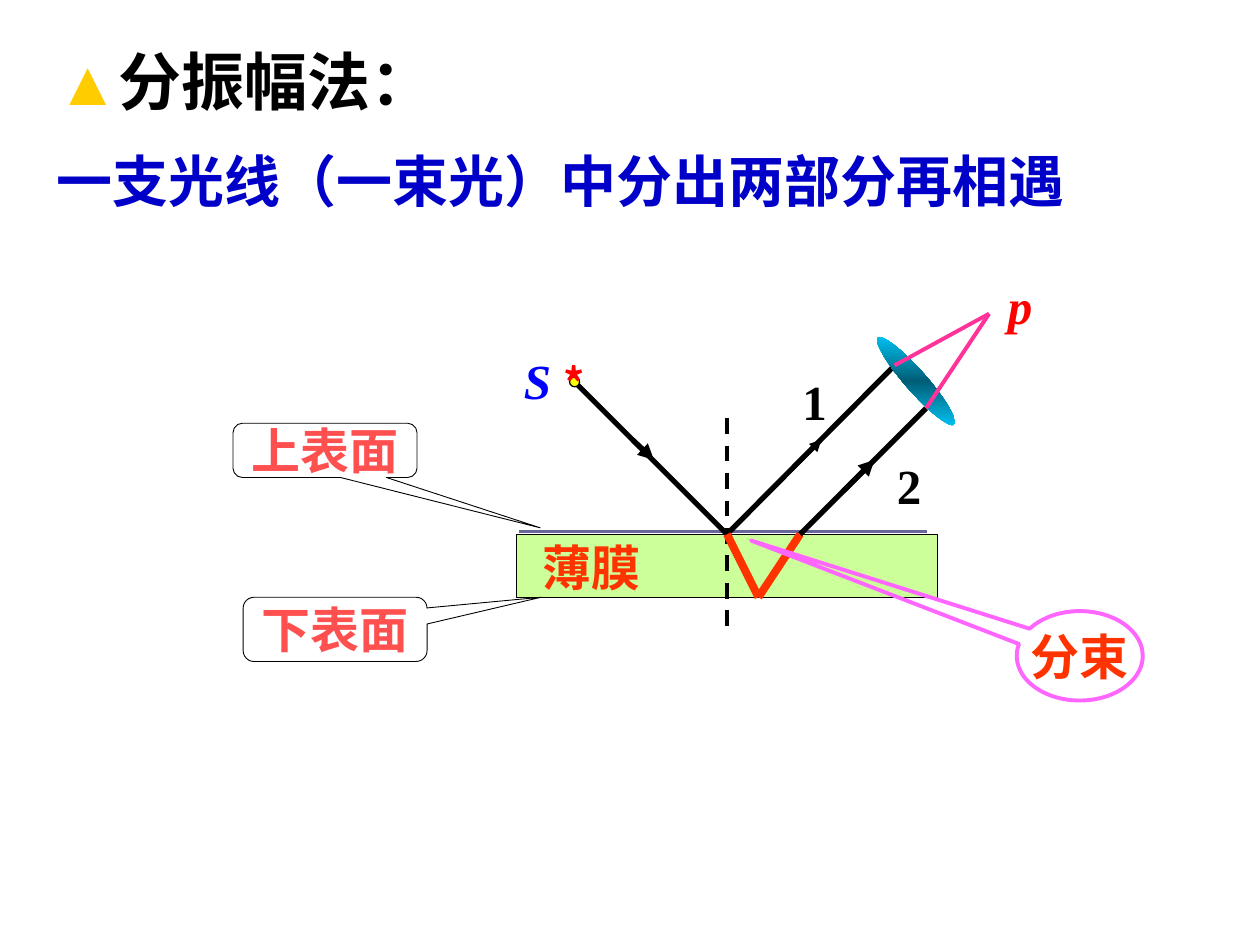
from dataclasses import dataclass
from typing import Optional

from pptx import Presentation
from pptx.dml.color import RGBColor
from pptx.enum.dml import MSO_LINE_DASH_STYLE as Dash
from pptx.enum.shapes import MSO_CONNECTOR_TYPE as Connector, MSO_SHAPE as Preset
from pptx.enum.text import MSO_ANCHOR as Anchor, MSO_AUTO_SIZE as AutoSize, PP_ALIGN as Align
from pptx.oxml import parse_xml
from pptx.oxml.ns import nsdecls, qn
from pptx.util import Inches, Pt

COLUMNS, ROWS = 100, 75
WIDTH, HEIGHT = Inches(10), Inches(7.5)
CHINESE, LATIN, SYMBOL = "Noto Sans CJK SC", "Times New Roman", "Arial"
ORANGE, CORAL, PINK, BLACK = "FF3300", "FF5050", "FF3399", "000000"


@dataclass(frozen=True)
class Run:
    text: str
    color: str
    size: float = 28
    font: str = CHINESE
    italic: bool = False


@dataclass(frozen=True)
class Label:
    area: tuple
    lines: tuple
    format: dict
    frame: dict


@dataclass(frozen=True)
class Figure:
    preset: Preset
    area: tuple
    line: Optional[str] = None
    weight: float = 0.75
    fill: Optional[str] = None
    adjustments: tuple = ()
    run: Optional[Run] = None


@dataclass(frozen=True)
class Ray:
    start: tuple
    end: tuple
    color: str = BLACK
    weight: float = 3
    arrow: bool = False
    dash: Optional[Dash] = None


@dataclass(frozen=True)
class Lens:
    area: tuple
    rotation: float
    edge: str
    middle: str


def apply(target, values: dict) -> None:
    """Set every attribute named in a dict of format values."""
    for name, value in values.items():
        setattr(target, name, value)


def rgb(color: str) -> RGBColor:
    """Turn a hex string into a colour."""
    return RGBColor.from_string(color)


def place(area: tuple) -> list:
    """Turn grid columns and rows into slide lengths."""
    units = (WIDTH / COLUMNS, HEIGHT / ROWS)
    return [round(value * units[index % 2]) for index, value in enumerate(area)]


def add_run(paragraph, item: Run) -> None:
    """Write one bold run with the same Latin and East Asian font."""
    run = paragraph.add_run()
    run.text = item.text
    apply(run.font, dict(size=Pt(item.size), name=item.font, bold=True, italic=item.italic))
    run.font.color.rgb = rgb(item.color)
    properties = run.font._element
    properties.find(qn("a:latin")).addnext(
        parse_xml(f'<a:ea {nsdecls("a")} typeface="{item.font}"/>'))


def draw_label(slide, label: Label):
    """Draw a text box with one paragraph per line."""
    box = slide.shapes.add_textbox(*place(label.area))
    frame = box.text_frame
    apply(frame, dict(word_wrap=True) | label.frame)
    for index, runs in enumerate(label.lines):
        paragraph = frame.add_paragraph() if index else frame.paragraphs[0]
        apply(paragraph, label.format)
        if index:
            paragraph.space_before = Pt(20)
        for run in runs:
            add_run(paragraph, run)
    return box


def draw_figure(slide, figure: Figure):
    """Draw a preset shape, with centred text if it has any."""
    shape = slide.shapes.add_shape(figure.preset, *place(figure.area))
    shape.shadow.inherit = False
    for index, value in enumerate(figure.adjustments):
        shape.adjustments[index] = value
    if figure.fill:
        shape.fill.solid()
        shape.fill.fore_color.rgb = rgb(figure.fill)
    else:
        shape.fill.background()
    if figure.line:
        shape.line.color.rgb = rgb(figure.line)
        shape.line.width = Pt(figure.weight)
    else:
        shape.line.fill.background()
    if figure.run:
        apply(shape.text_frame, dict(word_wrap=False, vertical_anchor=Anchor.MIDDLE))
        paragraph = shape.text_frame.paragraphs[0]
        paragraph.alignment = Align.CENTER
        add_run(paragraph, figure.run)
    return shape


def draw_lens(slide, lens: Lens):
    """Draw a tilted ellipse with a three-stop gradient."""
    shape = draw_figure(slide, Figure(Preset.OVAL, lens.area))
    shape.rotation = lens.rotation
    stops = "".join(f'<a:gs pos="{position}"><a:srgbClr val="{color}"/></a:gs>' for position, color
                    in ((0, lens.edge), (50000, lens.middle), (100000, lens.edge)))
    fill = shape._element.spPr.find(qn("a:noFill"))
    fill.addnext(parse_xml(f'<a:gradFill {nsdecls("a")} rotWithShape="0"><a:gsLst>{stops}</a:gsLst>'
                           '<a:lin ang="5400000" scaled="1"/></a:gradFill>'))
    fill.getparent().remove(fill)
    return shape


def draw_ray(slide, ray: Ray, film):
    """Draw a straight line and join it to the film where they meet."""
    connector = slide.shapes.add_connector(Connector.STRAIGHT, *place(ray.start + ray.end))
    apply(connector.line, dict(width=Pt(ray.weight), dash_style=ray.dash))
    connector.line.color.rgb = rgb(ray.color)
    if ray.arrow:
        connector.line._get_or_add_ln().append(parse_xml(f'<a:tailEnd {nsdecls("a")} type="triangle"/>'))
    connector._element.spPr.append(parse_xml(f'<a:effectLst {nsdecls("a")}/>'))
    if ray.start == HIT:
        connector.begin_connect(film, 0)
    if ray.end == HIT:
        connector.end_connect(film, 0)
    return connector


SOURCE, HIT, TURN, EXIT = (45.2, 29.9), (57.7, 42.4), (60.2, 47.4), (63.5, 42.4)
UPPER, LOWER, FOCUS = (71, 29), (73.5, 32.4), (78.5, 24.9)
FILM = Figure(Preset.RECTANGLE, (41, 42.4, 33.4, 5), BLACK, fill="CCFF99")
GROW = dict(auto_size=AutoSize.SHAPE_TO_FIT_TEXT)
TIGHT = dict.fromkeys(("margin_left", "margin_top", "margin_right", "margin_bottom"), Inches(0.01))
JUSTIFY = dict(alignment=Align.JUSTIFY)

SCENE = (
    Label((3.5, 3.6, 94.1, 14), (
        (Run("▲", "FFCC00", 36, SYMBOL), Run("分振幅法：", BLACK, 36)),
        (Run("一支光线（一束光）中分出两部分再相遇", "0000C8", 32),)), dict(line_spacing=0.9), GROW),
    Label((42.1, 42.2, 13.3, 5.7), ((Run("薄膜", ORANGE),),), {}, GROW),
    Ray((41.2, 42.2), (73.6, 42.2), "666699", 1.5),
    Figure(Preset.ROUNDED_RECTANGULAR_CALLOUT, (18.5, 33.6, 14.6, 4.3), BLACK, 0.5,
           adjustments=(1.17, 1.43, 0.17), run=Run("上表面", CORAL)),
    Ray((42, 47.4), (74.4, 47.4), weight=0.5),
    Figure(Preset.ROUNDED_RECTANGULAR_CALLOUT, (19.3, 47.4, 14.6, 5.1), BLACK, 0.5,
           adjustments=(1.12, -0.5, 0.17), run=Run("下表面", CORAL)),
    Ray(SOURCE, HIT),
    Figure(Preset.OVAL, SOURCE + (0.8, 0.8), BLACK, fill="FFFF00"),
    Ray((50.2, 34.9), (51.9, 36.5), arrow=True),
    Ray((57.7, 33.2), (57.7, 49.9), weight=2.25, dash=Dash.DASH),
    Ray(HIT, UPPER),
    Ray((62.7, 37.4), (65.2, 34.9), weight=2.25, arrow=True),
    Label((62.7, 29, 4.2, 5.7), ((Run("1", BLACK, font=LATIN),),), {}, GROW),
    Ray(HIT, TURN, ORANGE, 4.5),
    Ray(TURN, EXIT, ORANGE, 4.5),
    Ray(EXIT, LOWER),
    Ray((66.9, 39), (69.4, 36.5), arrow=True),
    Label((70.2, 35.7, 6.7, 5.7), ((Run("2", BLACK, font=LATIN),),), {}, GROW),
    Figure(Preset.OVAL_CALLOUT, (80.7, 48.5, 10, 7.1), "FF66FF", 2.25,
           adjustments=(-2.61, -1.29), run=Run("分束", ORANGE)),
    Lens((68.1, 29.4, 9.2, 1.7), 48.7, "00CCFF", "005E76"),
    Ray(UPPER, FOCUS, PINK, 2.25),
    Ray(LOWER, FOCUS, PINK, 2.25),
    Label((79.9, 21.8, 6.4, 10), ((Run("p", "FF0000", font=LATIN, italic=True),),), JUSTIFY, TIGHT),
    Label((40.6, 27.3, 17.6, 5.5), ((Run("S ", "0000FF", font=LATIN, italic=True),
                                     Run("*", "FF0000", 24)),), JUSTIFY, {}),
)


def main() -> None:
    """Build the slide and save it."""
    presentation = Presentation()
    apply(presentation, dict(slide_width=WIDTH, slide_height=HEIGHT))
    slide = presentation.slides.add_slide(presentation.slide_layouts[6])
    film = draw_figure(slide, FILM)
    painters = {Label: draw_label, Figure: draw_figure, Lens: draw_lens}
    for item in SCENE:
        if isinstance(item, Ray):
            draw_ray(slide, item, film)
        else:
            painters[type(item)](slide, item)
    presentation.save("out.pptx")


if __name__ == "__main__":
    main()
